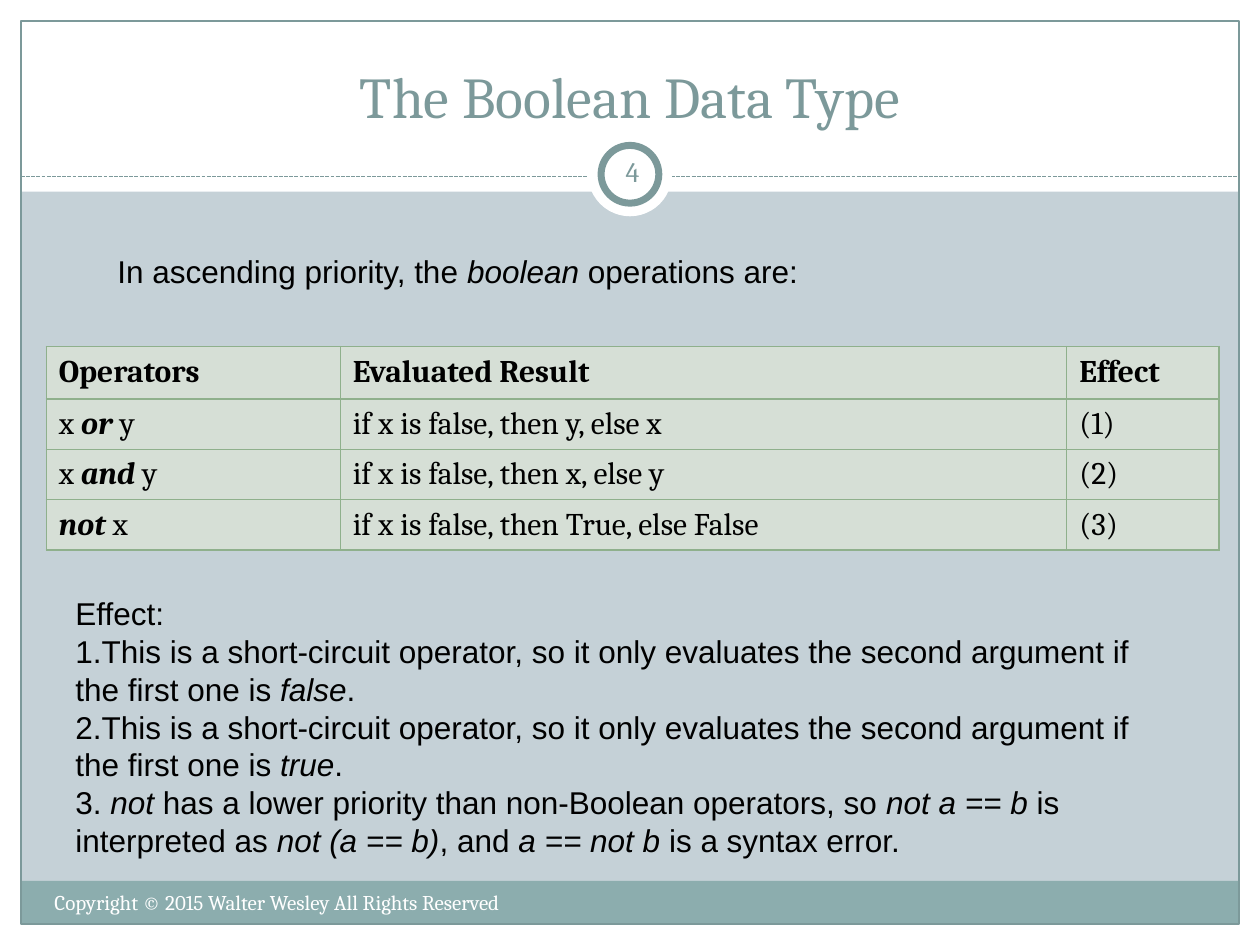
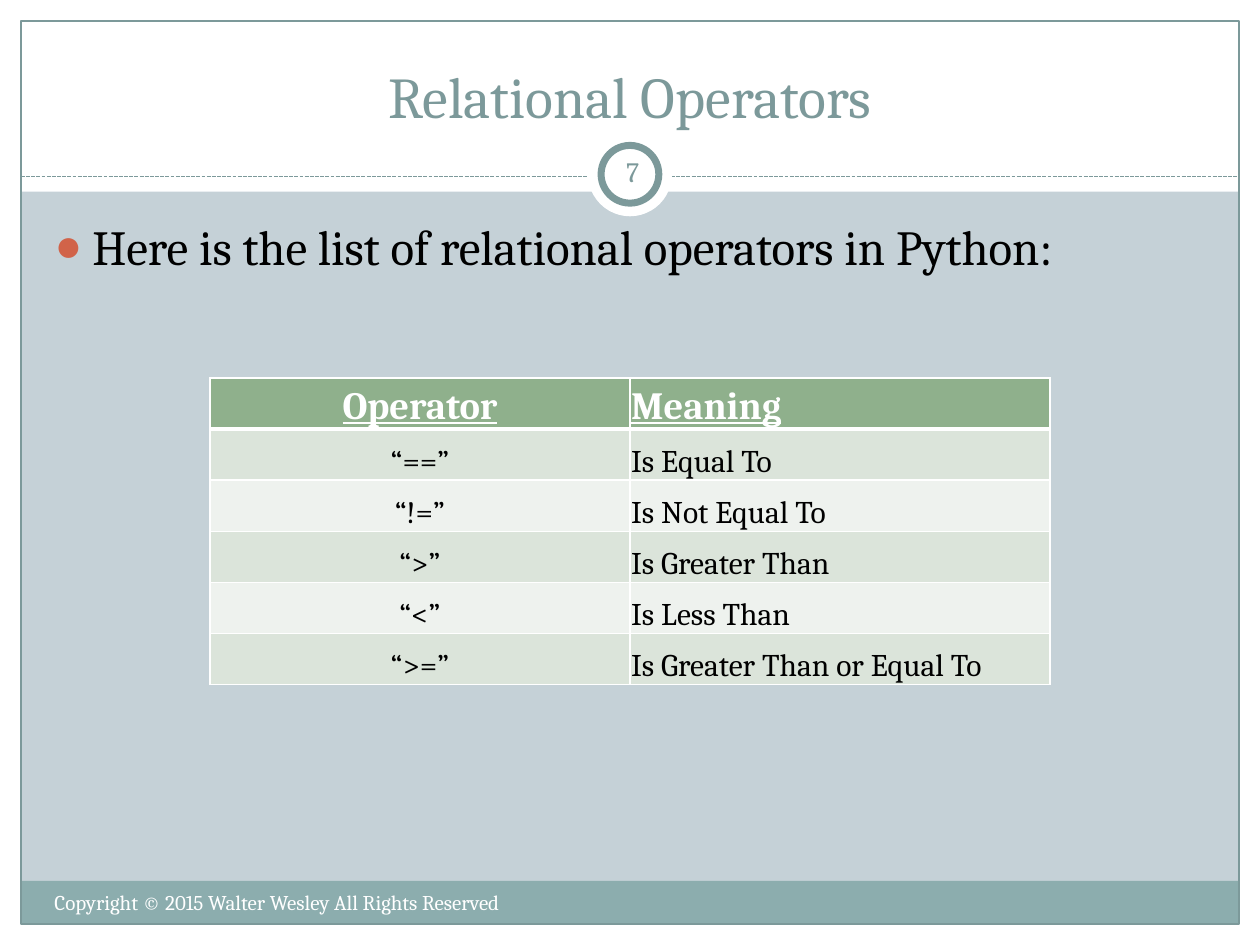
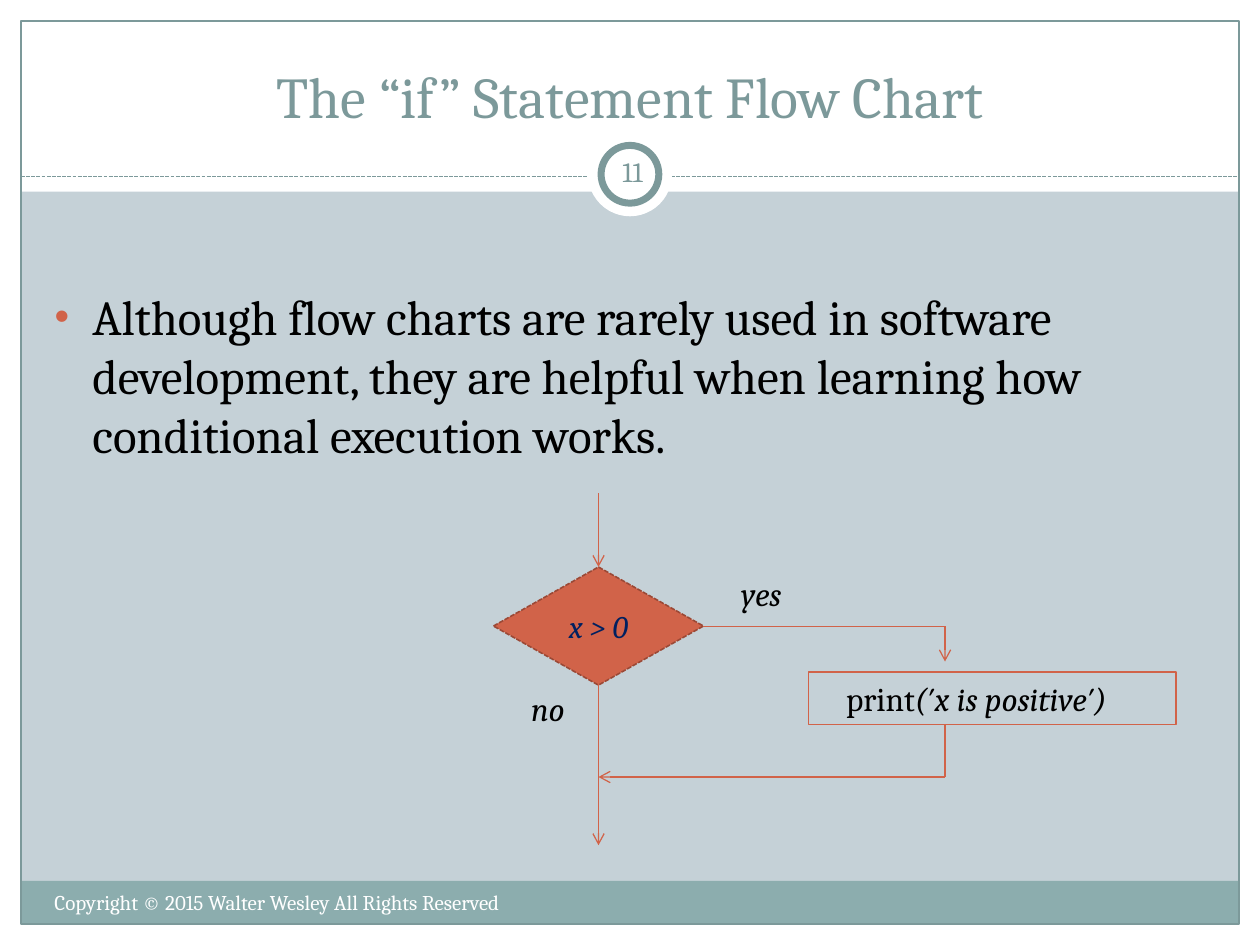
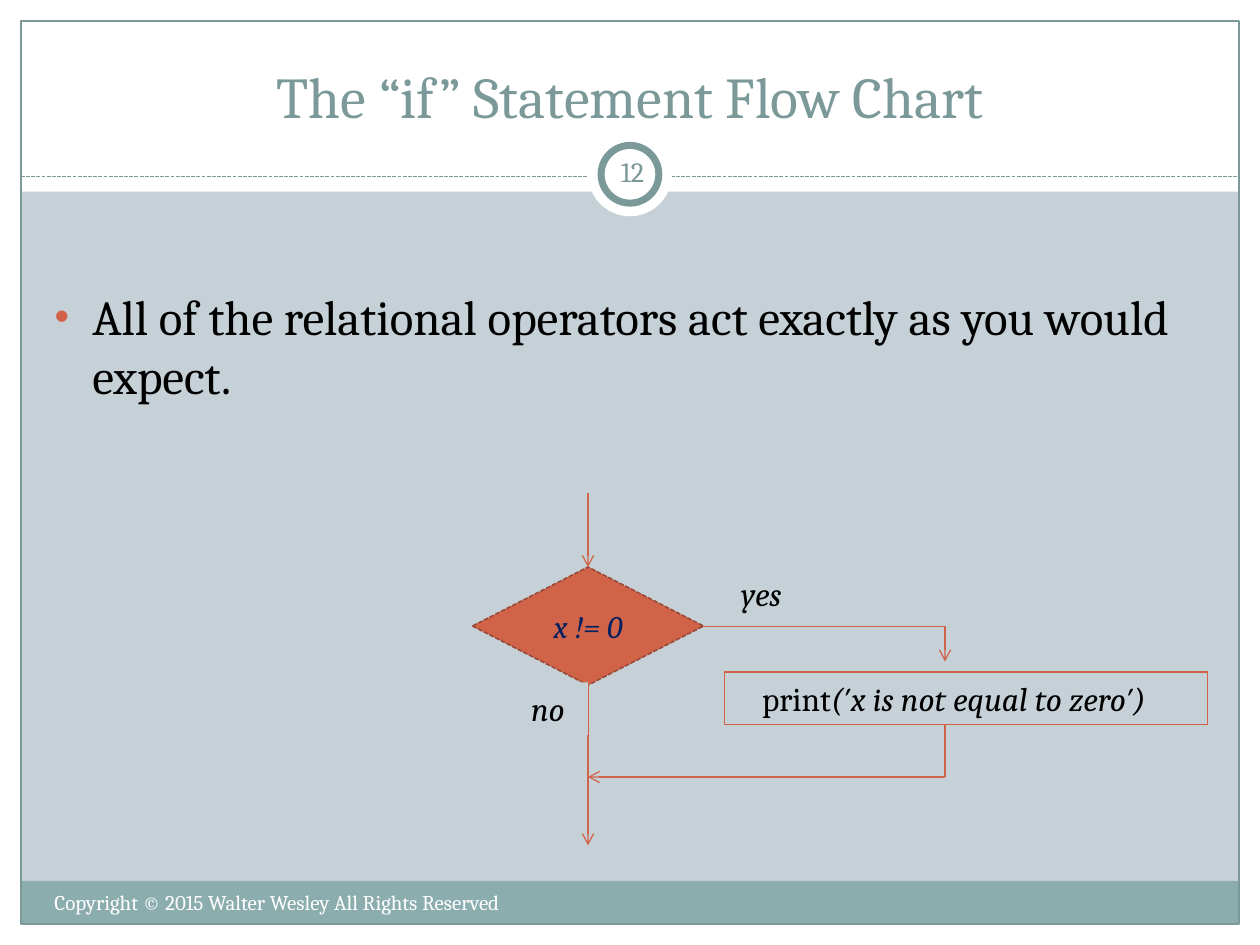
from dataclasses import dataclass

from lxml import etree
from pptx import Presentation
from pptx.dml.color import RGBColor
from pptx.enum.dml import MSO_LINE
from pptx.enum.shapes import MSO_CONNECTOR, MSO_SHAPE
from pptx.enum.text import MSO_ANCHOR, MSO_AUTO_SIZE, PP_ALIGN
from pptx.oxml.ns import qn
from pptx.util import Emu, Inches, Pt

# Colours and fonts
WHITE = RGBColor(0xFF, 0xFF, 0xFF)
BLACK = RGBColor(0, 0, 0)
NAVY = RGBColor(0x00, 0x20, 0x60)
SLATE = RGBColor(0xC5, 0xD1, 0xD7)
TEAL = RGBColor(0x7C, 0x99, 0x9A)
FOOTER_TEAL = RGBColor(0x8C, 0xAD, 0xAE)
RUST = RGBColor(0xD1, 0x63, 0x49)
DARK_RUST = RGBColor(0x9B, 0x49, 0x36)
GREEN = RGBColor(0x8F, 0xB0, 0x8C)
PALE_GREEN = RGBColor(0xD6, 0xDF, 0xD6)
BAND_DARK = RGBColor(0xDB, 0xE4, 0xDA)
BAND_LIGHT = RGBColor(0xEE, 0xF2, 0xEE)
SERIF, SANS = "Cambria", "Arial"

# Enum members
RECT, OVAL = MSO_SHAPE.RECTANGLE, MSO_SHAPE.OVAL
DECISION = MSO_SHAPE.FLOWCHART_DECISION
STRAIGHT = MSO_CONNECTOR.STRAIGHT
SYS_DASH = MSO_LINE.SQUARE_DOT
LEFT, CENTER = PP_ALIGN.LEFT, PP_ALIGN.CENTER
TOP, MIDDLE, BOTTOM = MSO_ANCHOR.TOP, MSO_ANCHOR.MIDDLE, MSO_ANCHOR.BOTTOM
FIXED = MSO_AUTO_SIZE.NONE

# The grid: 120 columns by 90 rows, twelve to the inch
COLS, ROWS = 120, 90
EDGE = 2
TITLE_LAYOUT, CONTENT_LAYOUT = 5, 1
COPYRIGHT = "Copyright © 2015 Walter Wesley All Rights Reserved"


def grid(units: float) -> Emu:
    return Inches(units / 12)


@dataclass(frozen=True)
class Box:
    col: float
    row: float
    cols: float
    rows: float

    def lengths(self) -> tuple:
        return tuple(grid(n) for n in (self.col, self.row, self.cols, self.rows))


@dataclass(frozen=True)
class Type:
    size: float
    color: RGBColor = BLACK
    font: str = SERIF
    bold: bool = False
    underline: bool = False


@dataclass(frozen=True)
class TableLook:
    header: Type
    body: Type
    header_fill: RGBColor
    bands: tuple
    aligns: tuple
    anchor: MSO_ANCHOR
    margins: tuple  # left, top, right, bottom in inches
    border: RGBColor
    border_width: float
    rule_width: float  # line below the header


@dataclass(frozen=True)
class Branch:
    question: str
    center: float
    code: str
    code_col: float
    code_cols: float


TITLE_TYPE = Type(33, TEAL)
NUMBER_TYPE = Type(16, TEAL)
FOOTER_TYPE = Type(12, WHITE)
LIST_TYPE = Type(28)
NOTE_TYPE = Type(18, font=SANS)
CELL_TYPE = Type(18)
CODE_TYPE = Type(19)
QUESTION_TYPE = Type(18, NAVY)


# Text
def write(paragraph, text: str, kind: Type, align=LEFT, strong=False) -> None:
    """Parts between asterisks are italic, and bold too when strong."""
    paragraph.alignment = align
    for index, part in enumerate(text.split("*")):
        if not part:
            continue
        run = paragraph.add_run()
        run.text = part
        emphasis = index % 2 == 1
        font = run.font
        font.name, font.size = kind.font, Pt(kind.size)
        font.color.rgb = kind.color
        font.bold = kind.bold or (emphasis and strong)
        font.italic, font.underline = emphasis, kind.underline


def set_frame(frame, anchor=TOP, margins=(0.1, 0.05, 0.1, 0.05)) -> None:
    frame.word_wrap, frame.auto_size = True, FIXED
    frame.vertical_anchor = anchor
    (frame.margin_left, frame.margin_top,
     frame.margin_right, frame.margin_bottom) = map(Inches, margins)


def indent(paragraph, left: float, first: float = 0):
    properties = paragraph._p.get_or_add_pPr()
    properties.set("marL", str(Inches(left)))
    properties.set("indent", str(Inches(first)))
    return properties


def add_text(slide, box: Box, lines, kind: Type, align=LEFT, anchor=TOP, **frame_options):
    frame = slide.shapes.add_textbox(*box.lengths()).text_frame
    set_frame(frame, anchor, **frame_options)
    for index, line in enumerate(lines):
        paragraph = frame.add_paragraph() if index else frame.paragraphs[0]
        write(paragraph, line, kind, align)
    return frame


# Shapes and lines
def add_shape(slide, preset, box: Box, fill=None, line=None, width=0.75, dash=None):
    shape = slide.shapes.add_shape(preset, *box.lengths())
    shape.shadow.inherit = False
    if fill is None:
        shape.fill.background()
    else:
        shape.fill.solid()
        shape.fill.fore_color.rgb = fill
    if line is None:
        shape.line.fill.background()
    else:
        shape.line.color.rgb, shape.line.width = line, Pt(width)
        shape.line.dash_style = dash
    return shape


def add_line(slide, start, end, color: RGBColor, arrow=False, dash=None):
    line = slide.shapes.add_connector(STRAIGHT, *map(grid, (*start, *end)))
    line.line.color.rgb, line.line.width = color, Pt(0.75)
    line.line.dash_style = dash
    properties = line.element.spPr
    if arrow:
        etree.SubElement(properties.find(qn("a:ln")), qn("a:tailEnd"), type="arrow")
    etree.SubElement(properties, qn("a:effectLst"))
    return line


# Tables
def set_border(properties, side: str, color: RGBColor, width: float) -> None:
    line = etree.SubElement(properties, qn(f"a:ln{side}"), w=str(Pt(width)))
    fill = etree.SubElement(line, qn("a:solidFill"))
    etree.SubElement(fill, qn("a:srgbClr"), val=str(color))


def add_table(slide, col, row, widths, heights, rows, look: TableLook) -> None:
    box = Box(col, row, sum(widths), sum(heights))
    frame = slide.shapes.add_table(len(heights), len(widths), *box.lengths())
    table = frame.table
    table.horz_banding = False
    for column, width in zip(table.columns, widths):
        column.width = grid(width)
    for table_row, height in zip(table.rows, heights):
        table_row.height = grid(height)

    # Borders go before the fills in the cell properties
    for index, cell_element in enumerate(frame.element.iter(qn("a:tc"))):
        row_index = index // len(widths)
        for side in "LRTB":
            on_rule = (row_index, side) in ((0, "B"), (1, "T"))
            set_border(cell_element.get_or_add_tcPr(), side, look.border,
                       look.rule_width if on_rule else look.border_width)

    for r, texts in enumerate(rows):
        kind = look.body if r else look.header
        color = look.bands[(r - 1) % len(look.bands)] if r else look.header_fill
        for c, text in enumerate(texts):
            cell = table.cell(r, c)
            cell.fill.solid()
            cell.fill.fore_color.rgb = color
            cell.vertical_anchor = look.anchor
            (cell.margin_left, cell.margin_top,
             cell.margin_right, cell.margin_bottom) = map(Inches, look.margins)
            write(cell.text_frame.paragraphs[0], text, kind, look.aligns[c], strong=True)


# What all slides share
def decorate_master(master, slide) -> None:
    """Draw bands, frame and number ring, then move them to the master."""
    master.background.fill.solid()
    master.background.fill.fore_color.rgb = SLATE
    inner_cols, inner_rows = COLS - 2 * EDGE, ROWS - 2 * EDGE
    margins = (Box(0, ROWS - EDGE, COLS, EDGE), Box(0, 0, COLS, 18.25),
               Box(0, 0, EDGE, ROWS), Box(COLS - EDGE, 0, EDGE, ROWS))
    parts = [add_shape(slide, RECT, box, WHITE) for box in margins]
    parts += [
        add_shape(slide, RECT, Box(EDGE, 83.9, inner_cols, 4.1), FOOTER_TEAL),
        add_shape(slide, RECT, Box(EDGE, EDGE, inner_cols, inner_rows), line=TEAL),
        add_line(slide, (EDGE, 16.8), (COLS - EDGE, 16.8), TEAL, dash=SYS_DASH),
        add_shape(slide, OVAL, Box(56, 12.6, 8, 8), WHITE),
        add_shape(slide, OVAL, Box(57.25, 13.85, 5.5, 5.5), WHITE, TEAL, 4),
    ]
    for number, part in enumerate(parts, start=100):
        part.element.find(".//" + qn("p:cNvPr")).set("id", str(number))
        master.shapes.element.append(part.element)


def add_slide(deck, layout: int, title: str, number: int):
    slide = deck.slides.add_slide(deck.slide_layouts[layout])
    heading = slide.shapes.title
    heading.left, heading.top, heading.width, heading.height = Box(4, 3, 112, 10).lengths()
    set_frame(heading.text_frame, BOTTOM)
    write(heading.text_frame.paragraphs[0], title, TITLE_TYPE, CENTER)
    add_text(slide, Box(4, 84.1, 57, 4.8), [COPYRIGHT], FOOTER_TYPE)
    add_text(slide, Box(57.25, 13.4, 6, 5.8), [str(number)], NUMBER_TYPE,
             CENTER, MIDDLE, margins=(0.05,) * 4)
    return slide


def fill_body(slide, text: str, bullet: str, bullet_percent: int, drop: float = 0) -> None:
    body = slide.placeholders[1]
    body.left, body.top, body.width, body.height = Box(4, 20, 111.6, 60).lengths()
    set_frame(body.text_frame, margins=(0.1, 0.05 + drop, 0.1, 0.05))
    paragraph = body.text_frame.paragraphs[0]
    write(paragraph, text, LIST_TYPE)
    properties = indent(paragraph, 0.3, -0.3)
    color = etree.SubElement(properties, qn("a:buClr"))
    etree.SubElement(color, qn("a:srgbClr"), val=str(RUST))
    etree.SubElement(properties, qn("a:buSzPct"), val=str(bullet_percent * 1000))
    etree.SubElement(properties, qn("a:buChar"), char=bullet)


# Flow chart of one condition
def add_code_box(slide, box: Box, text: str, line=None) -> None:
    shape = add_shape(slide, RECT, box, SLATE, line)
    set_frame(shape.text_frame)
    paragraph = shape.text_frame.paragraphs[0]
    write(paragraph, text, CODE_TYPE)
    indent(paragraph, 0.2)


def add_flow_chart(slide, branch: Branch) -> None:
    right, side = 67, 90
    entry, top, middle, bottom = 47, 54, 59.65, 65
    code_top, code_rows, merge, leave = 64, 5, 74, 80.5
    center, code_bottom = branch.center, code_top + code_rows
    half = right - center

    diamond = add_shape(slide, DECISION, Box(center - half, top, 2 * half, 11.25),
                        RUST, DARK_RUST, 0.9, SYS_DASH)
    set_frame(diamond.text_frame, MIDDLE, (0, 0, 0, 0))
    write(diamond.text_frame.paragraphs[0], branch.question, QUESTION_TYPE, CENTER)

    add_line(slide, (center, entry), (center, top), RUST, arrow=True)
    add_line(slide, (right, middle), (side, middle), RUST)
    add_line(slide, (side, middle), (side, 63), RUST, arrow=True)
    add_code_box(slide, Box(branch.code_col, code_top, branch.code_cols, code_rows),
                 branch.code, RUST)
    add_line(slide, (side, code_bottom), (side, merge), RUST)
    add_line(slide, (center, bottom), (center, leave), RUST, arrow=True)
    add_line(slide, (side, merge), (center, merge), RUST, arrow=True)
    add_code_box(slide, Box(right, top, 12, 5), "*yes*")
    add_code_box(slide, Box(47, bottom, 9, 5), "*no*")


# Content
BOOLEAN_ROWS = (
    ("Operators", "Evaluated Result", "Effect"),
    ("x *or* y", "if x is false, then y, else x", "(1)"),
    ("x *and* y", "if x is false, then x, else y", "(2)"),
    ("*not* x", "if x is false, then True, else False", "(3)"),
)
SHORT_CIRCUIT = ("This is a short-circuit operator, so it only evaluates "
                 "the second argument if the first one is *{}*.")
EFFECTS = (
    "Effect:",
    SHORT_CIRCUIT.format("false"),
    SHORT_CIRCUIT.format("true"),
    " *not *has a lower priority than non-Boolean operators, so *not a == b* is "
    "interpreted as *not (a == b)*, and *a == not b *is a syntax error.",
)
RELATIONAL_ROWS = (
    ("Operator", "Meaning"),
    ("“==”", "Is Equal To"),
    ("“!=”", "Is Not Equal To"),
    ("“>”", "Is Greater Than"),
    ("“<”", "Is Less Than"),
    ("“>=”", "Is Greater Than or Equal To"),
)
BOOLEAN_LOOK = TableLook(
    Type(18, bold=True), CELL_TYPE, PALE_GREEN, (PALE_GREEN,), (LEFT,) * 3,
    MIDDLE, (0.1, 0.05, 0.1, 0.05), GREEN, 0.75, 0.75)
RELATIONAL_LOOK = TableLook(
    Type(22, WHITE, bold=True, underline=True), CELL_TYPE, GREEN,
    (BAND_DARK, BAND_LIGHT), (CENTER, LEFT),
    BOTTOM, (0.01, 0.01, 0.01, 0), WHITE, 1, 3)
FLOW_SLIDES = (
    (11, "Although flow charts are rarely used in software development, they are "
         "helpful when learning how conditional execution works.",
     Branch("*x > 0*", 57, "print*(′x is positive′)*", 77, 35)),
    (12, "All of the relational operators act exactly as you would expect.",
     Branch("*x != 0*", 56, "print*(′x is not equal to zero′)*", 69, 46)),
)


def main() -> None:
    deck = Presentation()
    deck.slide_width, deck.slide_height = grid(COLS), grid(ROWS)

    # Boolean operators
    boolean = add_slide(deck, TITLE_LAYOUT, "The Boolean Data Type", 4)
    decorate_master(deck.slide_master, boolean)
    add_table(boolean, 4.4, 33, (28, 69.2, 14.5), (5, 4.8, 4.8, 4.8),
              BOOLEAN_ROWS, BOOLEAN_LOOK)
    add_text(boolean, Box(10, 23.4, 100, 8.5),
             ["In ascending priority, the *boolean* operations are:"], NOTE_TYPE)
    effects = add_text(boolean, Box(6, 56, 106, 30.25), EFFECTS, NOTE_TYPE)
    for number, paragraph in enumerate(effects.paragraphs[1:], start=1):
        etree.SubElement(indent(paragraph, 0), qn("a:buAutoNum"),
                         type="arabicPeriod", startAt=str(number))

    # Relational operators
    relational = add_slide(deck, CONTENT_LAYOUT, "Relational Operators", 7)
    fill_body(relational, "Here is the list of relational operators in Python:", "●", 94)
    add_table(relational, 20, 36, (40, 40), (4.87,) * len(RELATIONAL_ROWS),
              RELATIONAL_ROWS, RELATIONAL_LOOK)

    # Flow charts
    for number, remark, branch in FLOW_SLIDES:
        flow = add_slide(deck, CONTENT_LAYOUT, "The “if” Statement Flow Chart", number)
        fill_body(flow, remark, "•", 85, drop=0.56)
        add_flow_chart(flow, branch)

    deck.save("out.pptx")


main()
